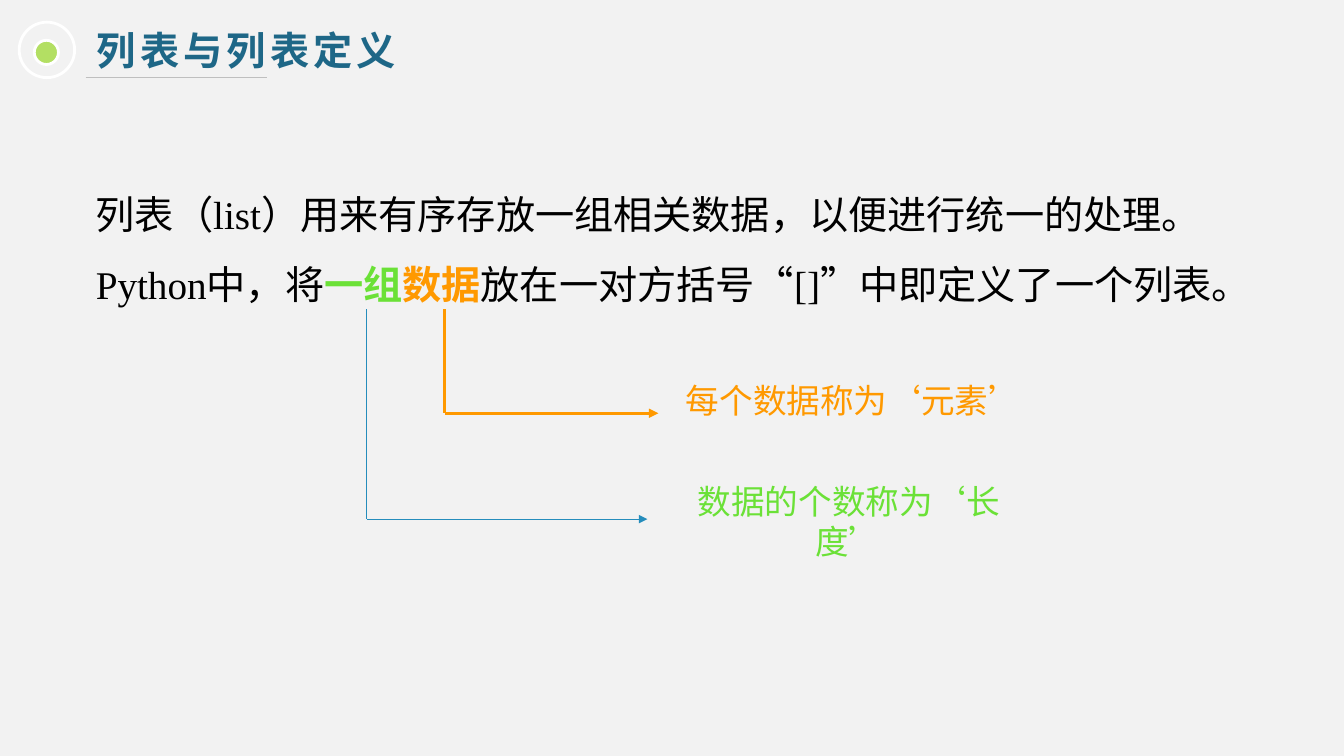
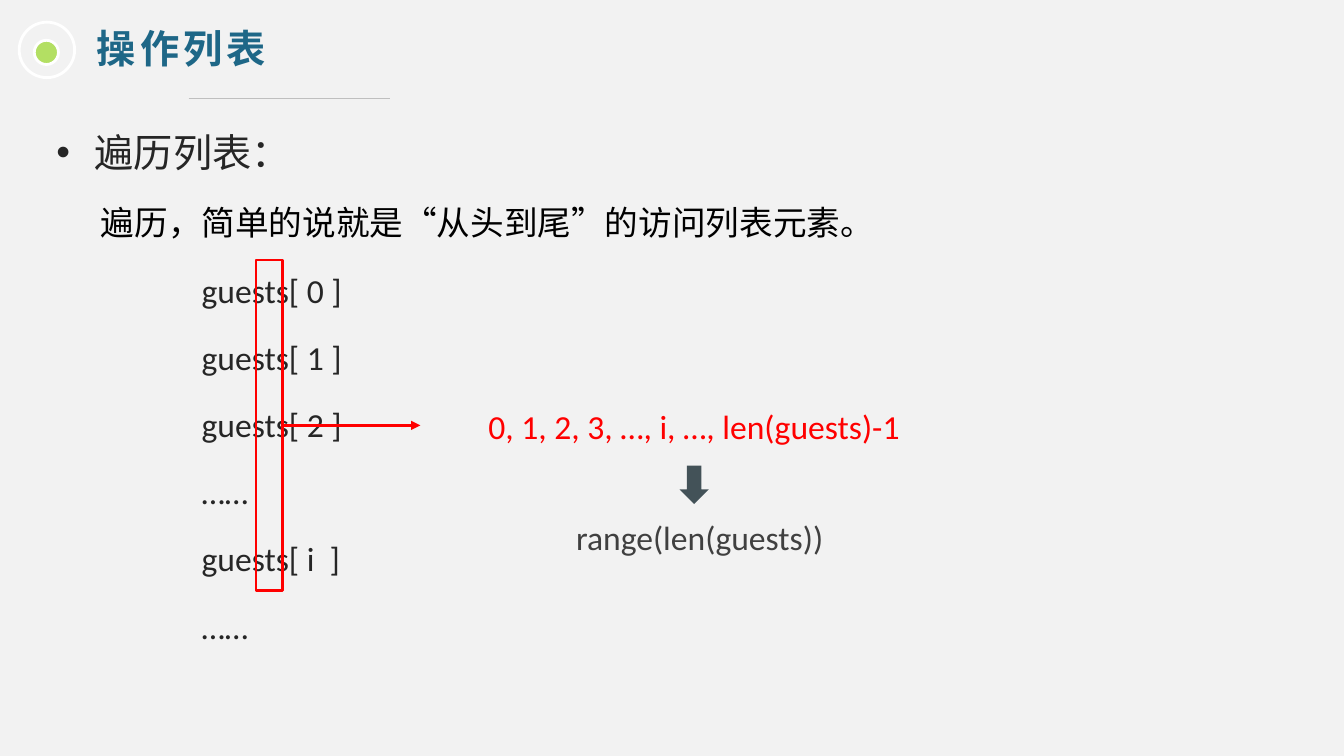
import pptx
import pptx.util
import pptx.dml.color
import pptx.enum.shapes
import pptx.enum.text
import pptx.oxml
import pptx.oxml.ns

Inches, Pt = pptx.util.Inches, pptx.util.Pt
SHAPE = pptx.enum.shapes.MSO_SHAPE
ANCHOR = pptx.enum.text.MSO_ANCHOR
ALIGN = pptx.enum.text.PP_ALIGN

CJK, SERIF, SANS = "Noto Sans CJK SC", "Times New Roman", "Calibri"
BACKGROUND, TITLE, RULE, DOT = "F2F2F2", "1E6787", "BFBFBF", "B3DF63"
WHITE, BLACK, DARK, GREY, SLATE = "FFFFFF", "000000", "262626", "404040", "435258"
GREEN, ORANGE, BLUE, RED = "6BE137", "FF9900", "258DBC", "FF0000"

# Runs are (text, highlight colour or None)
DEFINITION = [
    [("列表（list）用来有序存放一组相关数据，以便进行统一的处理。", None)],
    [("Python中，将", None), ("一组", GREEN), ("数据", ORANGE),
     ("放在一对方括号“[]”中即定义了一个列表。", None)],
]
# label, label box, label colour, arrow colour, width, corner, start height, arrow end
CALLOUTS = [
    ("每个数据称为‘元素’", (6.58, 3.47, 3.78, 1), ORANGE, ORANGE, 2.25, (4.41, 4.1), 3.07, 6.53),
    ("数据的个数称为‘长度’", (6.53, 4.67, 3.78, 1), GREEN, BLUE, 0.75, (3.64, 5.15), 3.07, 6.42),
]
# text, size, colour, left margin, first line indent, bullet
TRAVERSAL = [
    ("遍历列表：", 28, DARK, 0.38, -0.38, "•"),
    ("遍历，简单的说就是“从头到尾”的访问列表元素。", 24, BLACK, 0.44, 0, None),
] + [(item, 24, DARK, 1.44, 0, None) for item in
     ("guests[ 0 ]", "guests[ 1 ]", "guests[ 2 ]", "……", "guests[ i  ]", "……")]
INDEXES = ("0, 1, 2, 3, …, i, …, len(guests)-1", (4.61, 3.9, 4.55, 0.65), RED)
INDEX_RANGE = ("range(len(guests))", (5.29, 5.06, 3.3, 0.54), GREY)


def rgb(colour):
    return pptx.dml.color.RGBColor.from_string(colour)


def add_xml(parent, tag, **attributes):
    child = pptx.oxml.parse_xml(f"<a:{tag} {pptx.oxml.ns.nsdecls('a')}/>")
    for key, value in attributes.items():
        child.set(key, value)
    parent.append(child)


def style(paragraph, font_name, size, colour, bold=False, spacing=0):
    """Set the paragraph's font, with the East Asian face and letter spacing."""
    font = paragraph.font
    font.name, font.size, font.bold = font_name, Pt(size), bold
    font.color.rgb = rgb(colour)
    properties = paragraph._p.pPr.find(pptx.oxml.ns.qn("a:defRPr"))
    if spacing:
        properties.set("spc", str(spacing * 100))
    add_xml(properties, "ea", typeface=CJK)


def indent(paragraph, margin=0, first=0, bullet=None):
    properties = paragraph._p.get_or_add_pPr()
    properties.set("marL", str(Inches(margin)))
    properties.set("indent", str(Inches(first)))
    if bullet:
        add_xml(properties, "buChar", char=bullet)
    else:
        add_xml(properties, "buNone")


def place(shape, box):
    shape.left, shape.top, shape.width, shape.height = map(Inches, box)


def open_frame(shape, box, anchor=ANCHOR.TOP):
    """Place a text holder and return its wrapped, fixed-size frame."""
    place(shape, box)
    frame = shape.text_frame
    frame.word_wrap = True
    frame.auto_size = pptx.enum.text.MSO_AUTO_SIZE.NONE
    frame.vertical_anchor = anchor
    return frame


def paragraphs(frame, items):
    """Yield a paragraph of the frame for each item."""
    for number, item in enumerate(items):
        yield (frame.add_paragraph() if number else frame.paragraphs[0]), item


def add_label(slide, text, box, colour):
    frame = open_frame(slide.shapes.add_textbox(0, 0, 0, 0), box, ANCHOR.MIDDLE)
    paragraph = frame.paragraphs[0]
    paragraph.text, paragraph.alignment = text, ALIGN.CENTER
    style(paragraph, SANS, 24, colour)


def add_shape(slide, kind, box, fill=None, line=None):
    shape = slide.shapes.add_shape(kind, *map(Inches, box))
    shape.shadow.inherit = False
    if fill:
        shape.fill.solid()
        shape.fill.fore_color.rgb = rgb(fill)
    else:
        shape.fill.background()
    if line:
        shape.line.color.rgb = rgb(line)
        shape.line.width = Pt(2)
    else:
        shape.line.fill.background()
    return shape


def add_line(slide, start, end, colour, width, arrow=False):
    line = slide.shapes.add_connector(
        pptx.enum.shapes.MSO_CONNECTOR.STRAIGHT, *map(Inches, start + end))
    line.line.color.rgb = rgb(colour)
    line.line.width = Pt(width)
    if arrow:
        add_xml(line.line._get_or_add_ln(), "tailEnd", type="triangle")
    add_xml(line._element.spPr, "effectLst")
    return line


def add_slide(deck, title, title_top, rule_start, rule_length):
    """Add a slide with the shared title, target mark and rule."""
    slide = deck.slides.add_slide(deck.slide_layouts[1])
    frame = open_frame(slide.shapes.title, (0.86, title_top, 6.84, 0.57))
    heading = frame.paragraphs[0]
    heading.text, heading.alignment = title, ALIGN.LEFT
    style(heading, CJK, 28, TITLE, bold=True, spacing=3)
    add_shape(slide, SHAPE.OVAL, (0.34, 0.4, 0.24, 0.24), DOT, WHITE)
    add_shape(slide, SHAPE.OVAL, (0.19, 0.22, 0.55, 0.55), None, WHITE)
    left, top = rule_start
    add_line(slide, rule_start, (left + rule_length, top), RULE, 0.75)
    return slide


def build_definition(deck):
    slide = add_slide(deck, "列表与列表定义", 0.21, (0.85, 0.77), 1.8)
    frame = open_frame(slide.placeholders[1], (0.85, 1.6, 11.56, 1.43))
    for paragraph, runs in paragraphs(frame, DEFINITION):
        indent(paragraph)
        paragraph.line_spacing, paragraph.space_before = 1.5, Pt(0)
        style(paragraph, SERIF, 28, BLACK)
        for text, highlight in runs:
            run = paragraph.add_run()
            run.text = text
            if highlight:
                run.font.bold = True
                run.font.color.rgb = rgb(highlight)
    for text, box, colour, arrow_colour, width, corner, top, end in CALLOUTS:
        add_line(slide, (corner[0], top), corner, arrow_colour, width)
        add_line(slide, corner, (end, corner[1]), arrow_colour, width, arrow=True)
        add_label(slide, text, box, colour)


def build_traversal(deck):
    slide = add_slide(deck, "操作列表", 0.19, (1.87, 0.98), 2)
    frame = open_frame(slide.placeholders[1], (0.46, 0.99, 11.5, 5.73))
    for paragraph, (text, size, colour, margin, first, bullet) in paragraphs(frame, TRAVERSAL):
        paragraph.text = text
        indent(paragraph, margin, first, bullet)
        paragraph.line_spacing = 1.5
        style(paragraph, SANS, size, colour)
    index_frame = add_shape(slide, SHAPE.RECTANGLE, (2.54, 2.58, 0.26, 3.28), None, RED)
    arrow = add_line(slide, (2.8, 4.22), (4.17, 4.22), RED, 2.25, arrow=True)
    arrow.begin_connect(index_frame, 3)
    add_label(slide, *INDEXES)
    add_shape(slide, SHAPE.DOWN_ARROW, (6.74, 4.62, 0.29, 0.38), SLATE)
    add_label(slide, *INDEX_RANGE)


def main():
    deck = pptx.Presentation()
    deck.slide_width, deck.slide_height = Inches(13.33), Inches(7.5)
    backdrop = deck.slide_master.background.fill
    backdrop.solid()
    backdrop.fore_color.rgb = rgb(BACKGROUND)
    build_definition(deck)
    build_traversal(deck)
    deck.save("out.pptx")


if __name__ == "__main__":
    main()
